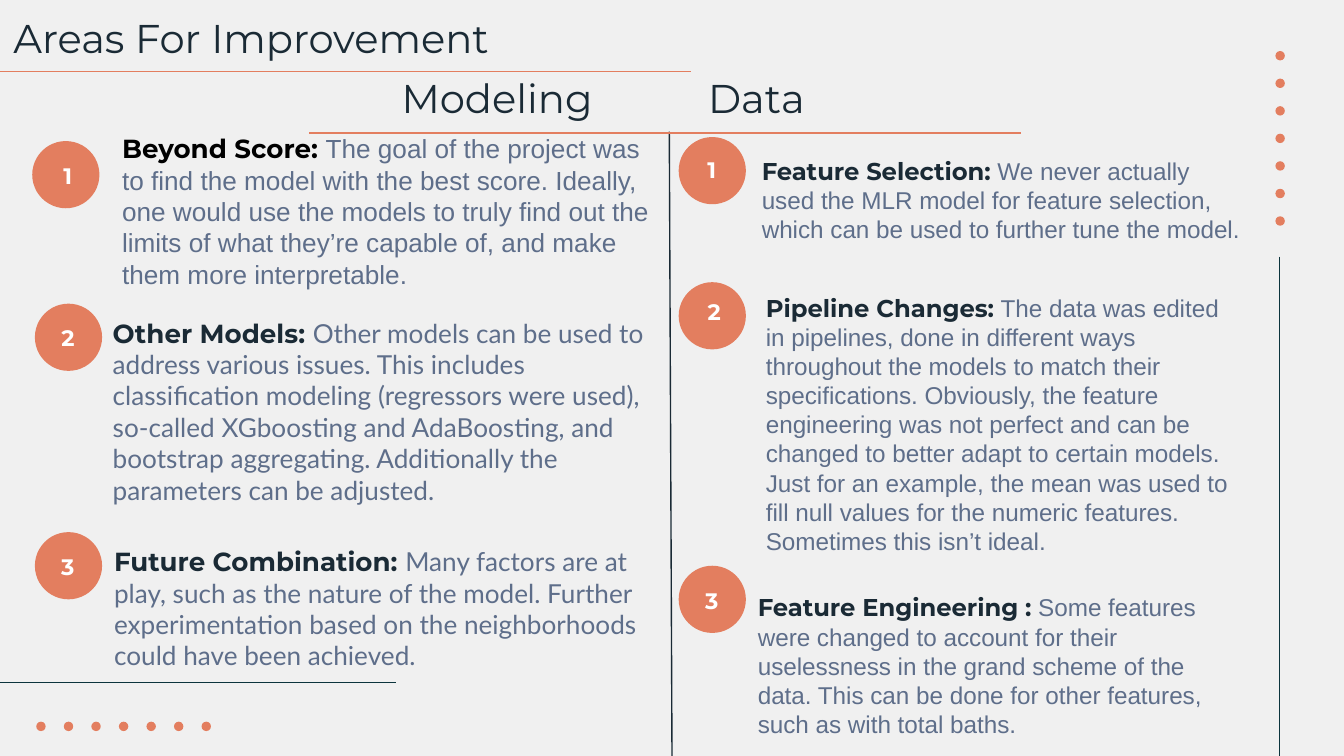
"""Build the Areas For Improvement slide with its modeling and data columns."""
from pptx import Presentation
from pptx.dml.color import RGBColor
from pptx.enum.shapes import MSO_CONNECTOR as Connector, MSO_SHAPE as Shape
from pptx.enum.text import MSO_ANCHOR as Anchor, MSO_AUTO_SIZE as AutoSize, PP_ALIGN as Align
from pptx.oxml.ns import qn
from pptx.util import Inches, Pt
from lxml.etree import SubElement

COLORS = {"paper": "F0F0F0", "coral": "E37E5F", "navy": "1A2A35", "teal": "0C343D",
          "slate": "5E6E8A", "black": "000000", "white": "FFFFFF"}
HEADING_FONT = "Montserrat"
TITLE = ("Areas For Improvement", (0, 0, 4.71, 0.54))
HEADINGS = [("Modeling", (2.89, 0.45, 4.71, 0.54)), ("Data", (5.17, 0.45, 4.71, 0.54))]
LINES = [((9.52, 1.91), (9.52, 5.75), "teal"), ((-0.61, 5.08), (2.95, 5.08), "teal"),
         ((5, 5.63), (4.98, 0.98), "navy"), ((-0.16, 0.53), (5.14, 0.53), "coral"),
         ((2.3, 0.99), (7.6, 0.99), "coral")]
DOT_COUNT, DOT_SIZE, DOT_SPAN = 7, 0.07, 1.23
BADGE_SIZE, NUMBER_SIZE = 0.5, 0.31

MODELING = [
    {"label": "Beyond Score: ", "color": "black", "font": "Arial", "anchor": Anchor.MIDDLE,
     "text": "The goal of the project was to find the model with the best score. Ideally, one would "
             "use the models to truly find out the limits of what they’re capable of, and make them "
             "more interpretable.",
     "place": (0.81, 1.16, 4.17, 0.82), "badge": (0.24, 1.05), "number": (0.35, 1.15)},
    {"label": "Other Models: ", "font": "Lato",
     "text": "Other models can be used to address various issues. This includes classification "
             "modeling (regressors were used), so-called XGboosting and AdaBoosting, and bootstrap "
             "aggregating. Additionally the parameters can be adjusted.",
     "place": (0.74, 2.26, 4.19, 0.46), "badge": (0.26, 2.26), "number": (0.35, 2.36)},
    {"label": "Future Combination: ", "font": "Lato",
     "text": "Many factors are at play, such as the nature of the model. Further experimentation "
             "based on the neighborhoods could have been achieved.",
     "place": (0.75, 3.96, 4.15, 0.46), "badge": (0.26, 3.96), "number": (0.35, 4.06)},
]
DATA = [
    {"label": "Feature Selection: ", "font": "Arial",
     "text": "We never actually used the MLR model for feature selection, which can be used to "
             "further tune the model.",
     "place": (5.57, 1.06, 3.8, 0.46), "badge": (5.05, 1.02), "number": (5.14, 1.11)},
    {"label": "Pipeline Changes: ", "font": "Arial",
     "text": "The data was edited in pipelines, done in different ways throughout the models to "
             "match their specifications. Obviously, the feature engineering was not perfect and "
             "can be changed to better adapt to certain models. Just for an example, the mean was "
             "used to fill null values for the numeric features. Sometimes this isn’t ideal.",
     "place": (5.6, 2.08, 3.75, 0.46), "badge": (5.05, 2.1), "number": (5.16, 2.16)},
    {"label": "Feature Engineering : ", "font": "Arial",
     "text": "Some features were changed to account for their uselessness in the grand scheme of "
             "the data. This can be done for other features, such as with total baths.",
     "place": (5.54, 4.31, 3.75, 0.46), "badge": (5.05, 4.21), "number": (5.14, 4.31)},
]
COLUMNS = [(MODELING, 14), (DATA, 13)]


def rgb(name):
    return RGBColor.from_string(COLORS[name])


def fill_box(box, spans, align=Align.LEFT, anchor=Anchor.TOP):
    frame = box.text_frame
    frame.word_wrap = True
    frame.auto_size = AutoSize.NONE
    frame.vertical_anchor = anchor
    frame.margin_left = frame.margin_right = Inches(0.1)
    frame.margin_top = frame.margin_bottom = Inches(0.1)
    para = frame.paragraphs[0]
    para.alignment = align
    para.line_spacing = 1.0
    para.space_before = Pt(0)
    for text, font, size, color, bold in spans:
        span = para.add_run()
        span.text = text
        span.font.name = font
        span.font.size = Pt(size)
        span.font.bold = bold
        span.font.color.rgb = rgb(color)


def add_text(page, place, spans, **layout):
    fill_box(page.shapes.add_textbox(*map(Inches, place)), spans, **layout)


def add_circle(page, left, top, size):
    circle = page.shapes.add_shape(Shape.OVAL, *map(Inches, (left, top, size, size)))
    circle.shadow.inherit = False
    circle.fill.solid()
    circle.fill.fore_color.rgb = rgb("coral")
    circle.line.fill.background()


def add_line(page, start, end, color):
    line = page.shapes.add_connector(Connector.STRAIGHT, *map(Inches, start + end))
    line.line.color.rgb = rgb(color)
    line.line.width = Pt(0.75)
    SubElement(line._element.spPr, qn("a:effectLst"))


def add_item(page, number, item, size):
    add_circle(page, *item["badge"], BADGE_SIZE)
    add_text(page, item["number"] + (NUMBER_SIZE, NUMBER_SIZE),
             [(str(number), HEADING_FONT, 12, "white", True)],
             align=Align.CENTER, anchor=Anchor.MIDDLE)
    add_text(page, item["place"],
             [(item["label"], HEADING_FONT, size, item.get("color", "navy"), True),
              (item["text"], item["font"], size, "slate", False)],
             anchor=item.get("anchor", Anchor.TOP))


def main():
    deck = Presentation()
    deck.slide_width = Inches(10)
    deck.slide_height = deck.slide_width * 9 // 16
    page = deck.slides.add_slide(deck.slide_layouts[5])
    page.background.fill.solid()
    page.background.fill.fore_color.rgb = rgb("paper")

    for index in range(DOT_COUNT):
        offset = index * DOT_SPAN / (DOT_COUNT - 1)
        add_circle(page, 9.49, 0.38 + offset, DOT_SIZE)
        add_circle(page, 0.27 + offset, 5.37, DOT_SIZE)
    for start, end, color in LINES:
        add_line(page, start, end, color)

    text, place = TITLE
    title = page.shapes.title
    title.left, title.top, title.width, title.height = map(Inches, place)
    fill_box(title, [(text, HEADING_FONT, 21.5, "navy", False)])
    for text, place in HEADINGS:
        add_text(page, place, [(text, HEADING_FONT, 21.5, "navy", False)])

    for items, size in COLUMNS:
        for number, item in enumerate(items, 1):
            add_item(page, number, item, size)
    deck.save("out.pptx")


if __name__ == "__main__":
    main()
